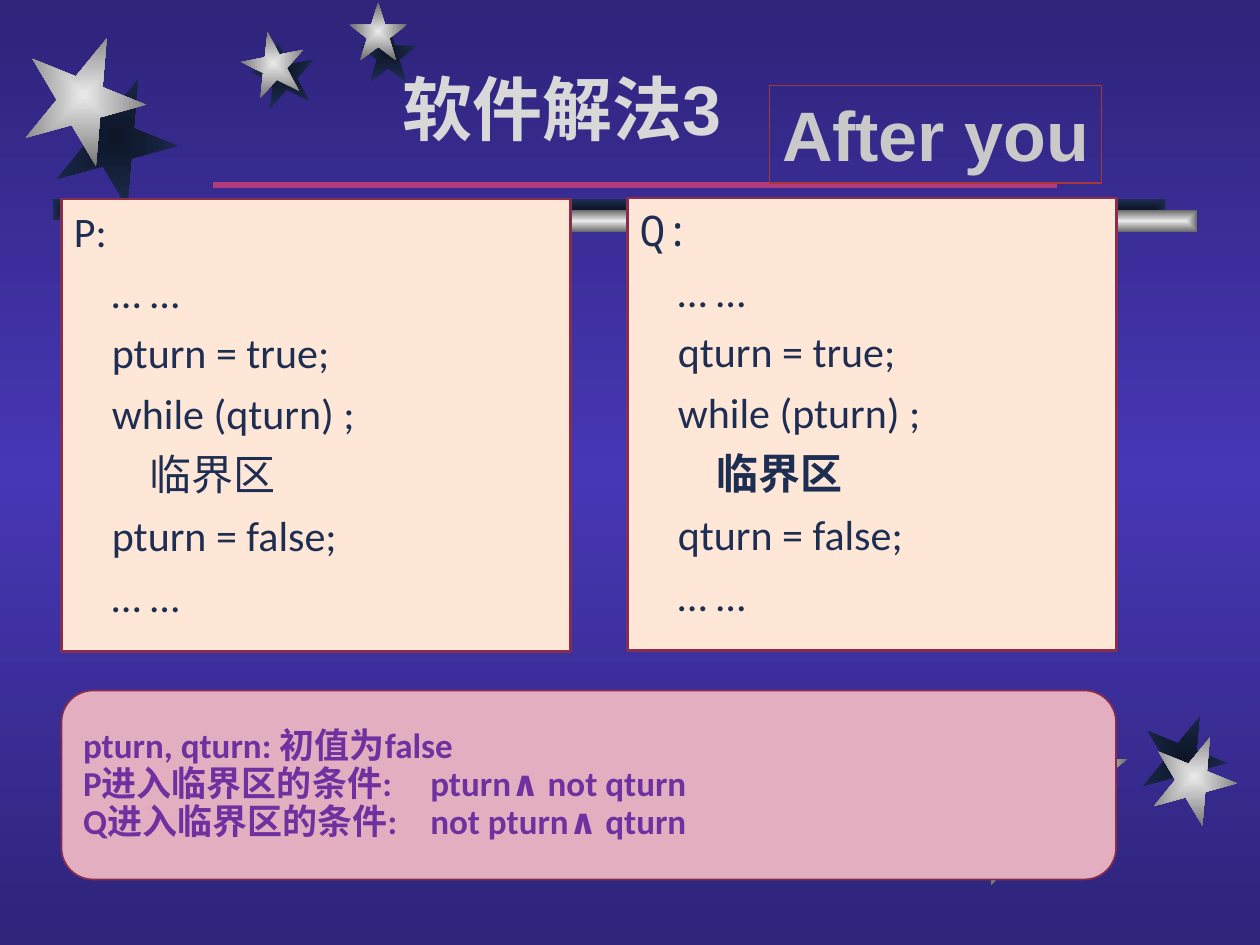
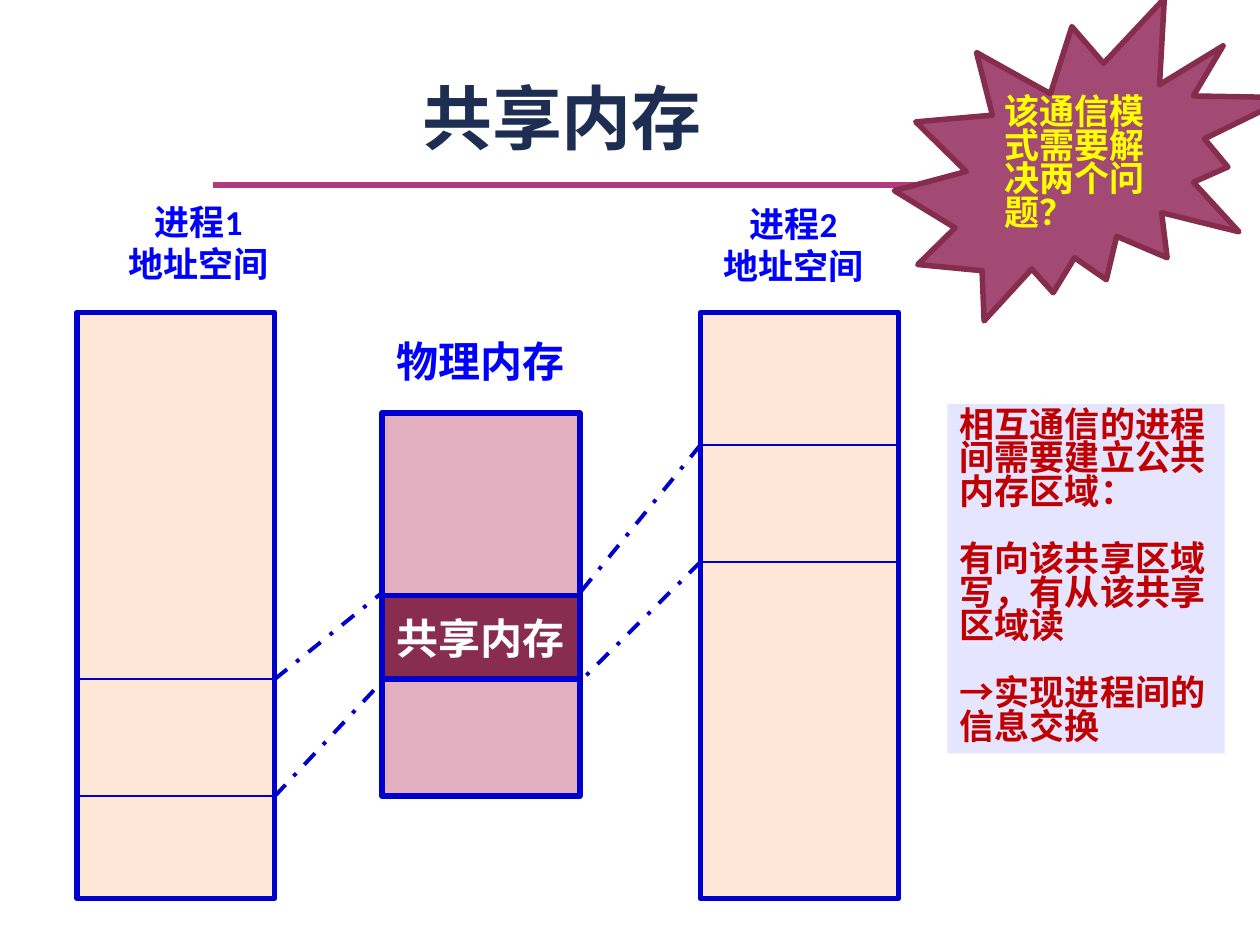
from pptx import Presentation
from pptx.dml.color import RGBColor
from pptx.enum.dml import MSO_LINE
from pptx.enum.shapes import MSO_CONNECTOR, MSO_SHAPE
from pptx.enum.text import MSO_ANCHOR, PP_ALIGN
from pptx.oxml import parse_xml
from pptx.oxml.ns import nsdecls
from pptx.util import Cm, Pt


class Theme:
    night = ((0, "2E247A"), (50, "4637B5"), (100, "2E247A"))
    shade = ((0, "0D1526"), (100, "1E2E53"))
    silver = ((0, "EAEAEA"), (100, "6B6B6B"))
    navy, cream, pink, plum = "1E2E53", "FEE7D6", "E4AEC1", "892D4E"
    rule, edge, blue = "B23A7D", "862C4C", "0000CC"
    seal, lilac, brick = "A24A73", "E5E5FF", "A73737"
    title = {"name": "Arial", "size": Pt(40), "bold": True}
    code = {"name": "Calibri", "size": Pt(24), "bold": False}
    label = {"name": "Calibri", "size": Pt(24), "bold": True}
    body = {"name": "Calibri", "size": Pt(20), "bold": True}


CENTER = {"alignment": PP_ALIGN.CENTER}
MIDDLE = {"vertical_anchor": MSO_ANCHOR.MIDDLE, "word_wrap": True}
TOP = {"vertical_anchor": MSO_ANCHOR.TOP, "word_wrap": True}
BOTTOM = {"vertical_anchor": MSO_ANCHOR.BOTTOM, "word_wrap": True}
NO_WRAP = {"vertical_anchor": MSO_ANCHOR.TOP, "word_wrap": False}


def add_box(s, kind, at, fill=None, line=None, text=(), font=None,
            color=None, para=None, frame=TOP, gap=0):
    """Add a shape, or a text box if kind is None; gap is the space between paragraphs."""
    at = [Cm(v) for v in at]
    if kind is None:
        sp = s.shapes.add_textbox(*at)
    else:
        sp = s.shapes.add_shape(kind, *at)
        sp.shadow.inherit = False
    if fill:
        sp.fill.solid()
        sp.fill.fore_color.rgb = RGBColor.from_string(fill)
    else:
        sp.fill.background()
    if line:
        sp.line.color.rgb = RGBColor.from_string(line[0])
        sp.line.width = Pt(line[1])
    else:
        sp.line.fill.background()
    tf = sp.text_frame
    for name, value in frame.items():
        setattr(tf, name, value)
    for i, words in enumerate(text):
        p = tf.add_paragraph() if i else tf.paragraphs[0]
        for name, value in ({"alignment": PP_ALIGN.LEFT} | (para or {})).items():
            setattr(p, name, value)
        if i and gap:
            p.space_before = Pt(gap)
        r = p.add_run()
        r.text = words
        for name, value in font.items():
            setattr(r.font, name, value)
        r.font.color.rgb = RGBColor.from_string(color)
    return sp


def add_line(s, start, end, color, width, dash=None):
    c = s.shapes.add_connector(MSO_CONNECTOR.STRAIGHT, *[Cm(v) for v in (*start, *end)])
    c.line.color.rgb = RGBColor.from_string(color)
    c.line.width = Pt(width)
    if dash:
        c.line.dash_style = dash
    c._element.spPr.append(parse_xml(f"<a:effectLst {nsdecls('a')}/>"))


prs = Presentation()
prs.slide_width, prs.slide_height = Cm(25.4), Cm(19.05)
blank = prs.slide_layouts[6]

# Slide 1: backdrop of stars and bars
s = software = prs.slides.add_slide(blank)
lin = '<a:lin ang="5400000" scaled="0"/>'
from_centre = ('<a:path path="rect"><a:fillToRect l="50000" t="50000" '
               'r="50000" b="50000"/></a:path>')
gradients = [(s.background.fill, Theme.night, lin)]
stars = {  # left, top, size, rotation
    Theme.shade: [(1.09, 1.52, 2.46, 22), (5.08, 0.84, 1.27, 349), (7.24, 0.48, 1.17, 0),
                  (21.36, 14.66, 1.17, 0), (23.01, 14.4, 1.7, 22)],
    Theme.silver: [(4.88, 0.64, 1.27, 349), (7.04, 0.05, 1.17, 0), (19.61, 16.51, 1.27, 349),
                   (21.56, 14.86, 1.17, 0), (23.22, 14.81, 1.7, 22), (0.46, 0.69, 2.46, 22)],
}
for stops, places in stars.items():
    for left, top, size, rotation in places:
        sp = add_box(s, MSO_SHAPE.STAR_5_POINT, (left, top, size, size))
        sp.rotation = rotation
        gradients.append((sp.fill, stops, from_centre))
for stops, left, top in ((Theme.shade, 1.07, 4.01), (Theme.silver, 1.7, 4.24)):
    sp = add_box(s, MSO_SHAPE.RECTANGLE, (left, top, 22.43, 0.43))
    gradients.append((sp.fill, stops, from_centre))

for fill, stops, direction in gradients:
    fill.gradient()
    grad = fill.gradient_stops[0]._gs.getparent().getparent()
    for child in list(grad):
        grad.remove(child)
    marks = "".join(f'<a:gs pos="{pos * 1000}"><a:srgbClr val="{c}"/></a:gs>'
                    for pos, c in stops)
    new = parse_xml(f"<a:gradFill {nsdecls('a')}><a:gsLst>{marks}</a:gsLst>"
                    f"{direction}</a:gradFill>")
    grad.extend(list(new))

# Title and rule of both slides
memory = prs.slides.add_slide(blank)
for s, words, height, color in ((software, "软件解法3", 2.24, "D8D8D8"),
                                (memory, "共享内存", 2.44, Theme.navy)):
    add_line(s, (4.29, 3.73), (21.31, 3.73), Theme.rule, 3)
    add_box(s, None, (1.27, 0.89, 20.12, height), text=[words], font=Theme.title,
            color=color, para=CENTER, frame=BOTTOM)

# Slide 1: code of the two processes
s = software
code_boxes = []
for own, other, at in (("p", "q", (1.24, 4.01, 10.26, 9.12)),
                       ("q", "p", (12.65, 3.99, 9.86, 9.12))):
    code = [f"{own.upper()}:", "    … …", f"    {own}turn = true;",
            f"    while ({other}turn) ;", "        临界区",
            f"    {own}turn = false;", "    … …"]
    code_boxes.append(add_box(s, MSO_SHAPE.RECTANGLE, at, Theme.cream, (Theme.plum, 1.5),
                              code, Theme.code, Theme.navy, gap=6))
q_lines = code_boxes[1].text_frame.paragraphs
q_lines[0].runs[0].font.name = "Noto Sans Mono"
q_lines[4].runs[0].font.bold = True

conditions = add_box(
    s, MSO_SHAPE.ROUNDED_RECTANGLE, (1.24, 13.92, 21.26, 3.81), Theme.pink, (Theme.edge, 1),
    ["pturn, qturn: 初值为false", "P进入临界区的条件:\tpturn∧ not qturn",
     "Q进入临界区的条件:\tnot pturn∧ qturn"],
    Theme.body, "7030A0", {"line_spacing": 0.9}, MIDDLE)
for p in conditions.text_frame.paragraphs[1:]:
    p._p.get_or_add_pPr().append(parse_xml(
        f'<a:tabLst {nsdecls("a")}><a:tab pos="{Cm(7)}" algn="l"/></a:tabLst>'))

add_box(s, MSO_SHAPE.RECTANGLE, (15.52, 1.73, 6.68, 1.96), line=(Theme.brick, 0.75),
        text=["After you"], font=Theme.title, color="C9C9C9", para=CENTER, frame=NO_WRAP)

# Slide 2: physical memory between two address spaces
s = memory
outline = (Theme.blue, 3.15)
width = 3.99
memory_left = 7.7
add_box(s, MSO_SHAPE.RECTANGLE, (memory_left, 8.33, width, 7.72), Theme.pink, outline)
add_box(s, MSO_SHAPE.RECTANGLE, (memory_left, 12.01, width, 1.68), Theme.plum, outline,
        ["共享内存"], Theme.label, "FFFFFF", CENTER, MIDDLE)

shared_edges = (11.95, 13.74)
processes = [  # left, cuts, side facing the memory, memory side, label corner
    (1.55, (13.69, 16.05), 1.55 + width, memory_left, (2.34, 3.91)),
    (14.12, (8.97, 11.33), 14.12, memory_left + width, (14.33, 3.96)),
]
for n, (left, cuts, near, far, corner) in enumerate(processes, 1):
    add_box(s, MSO_SHAPE.RECTANGLE, (left, 6.3, width, 11.81), Theme.cream, outline)
    for cut, edge in zip(cuts, shared_edges):
        add_line(s, (left, cut), (left + width, cut), Theme.blue, 1.5)
        add_line(s, (near, cut), (far, edge), Theme.blue, 2.25, MSO_LINE.DASH_DOT)
    add_box(s, None, (*corner, 3.33, 1.96), text=[f"进程{n}", "地址空间"], font=Theme.body,
            color="0000FF", para=CENTER, frame=NO_WRAP)
add_box(s, None, (7.75, 6.63, 3.89, 1.27), text=["物理内存"], font=Theme.label,
        color="0000FF", frame=NO_WRAP)

tight = {"line_spacing": 0.8}
add_box(s, MSO_SHAPE.EXPLOSION2, (18.03, -0.03, 7.95, 6.5), Theme.seal, (Theme.edge, 3.15),
        ["该通信模式需要解决两个问题？"], Theme.body, "FFFF00", tight, MIDDLE)
add_box(s, MSO_SHAPE.RECTANGLE, (19.1, 8.15, 5.59, 7.04), Theme.lilac, None,
        ["相互通信的进程间需要建立公共内存区域：", "有向该共享区域写，有从该共享区域读",
         "→实现进程间的信息交换"],
        Theme.body, "C00000", tight, gap=19)

prs.save("out.pptx")
